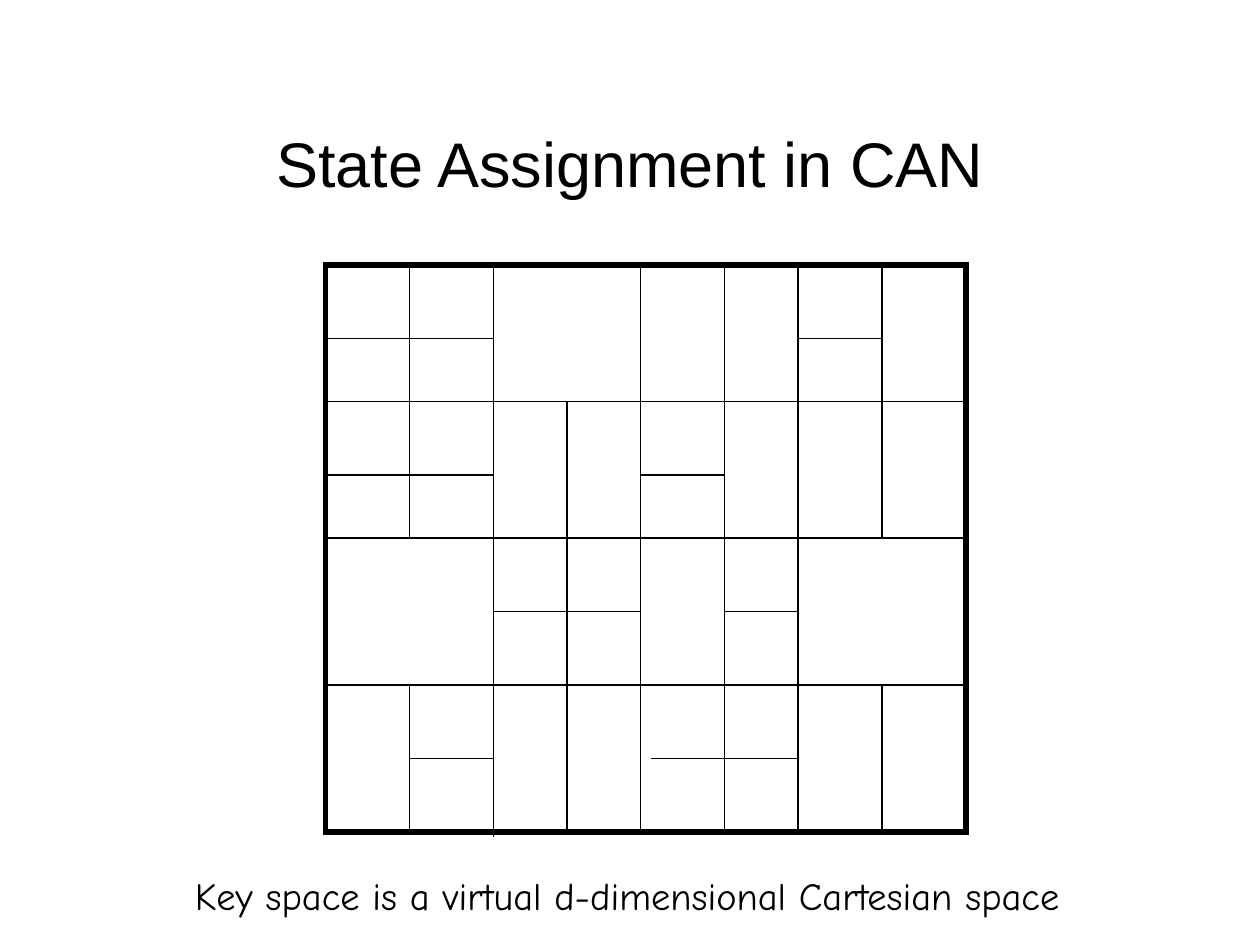
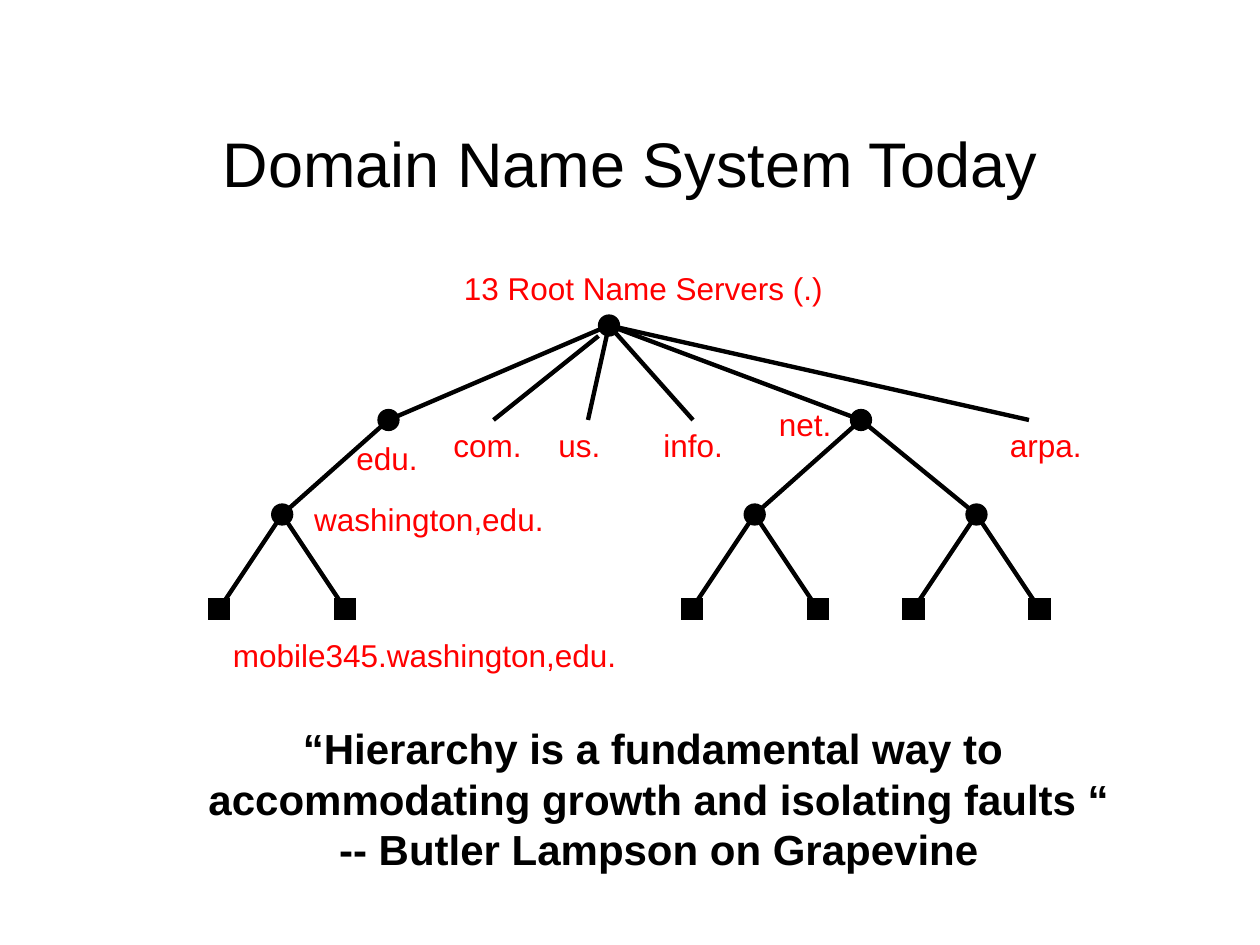
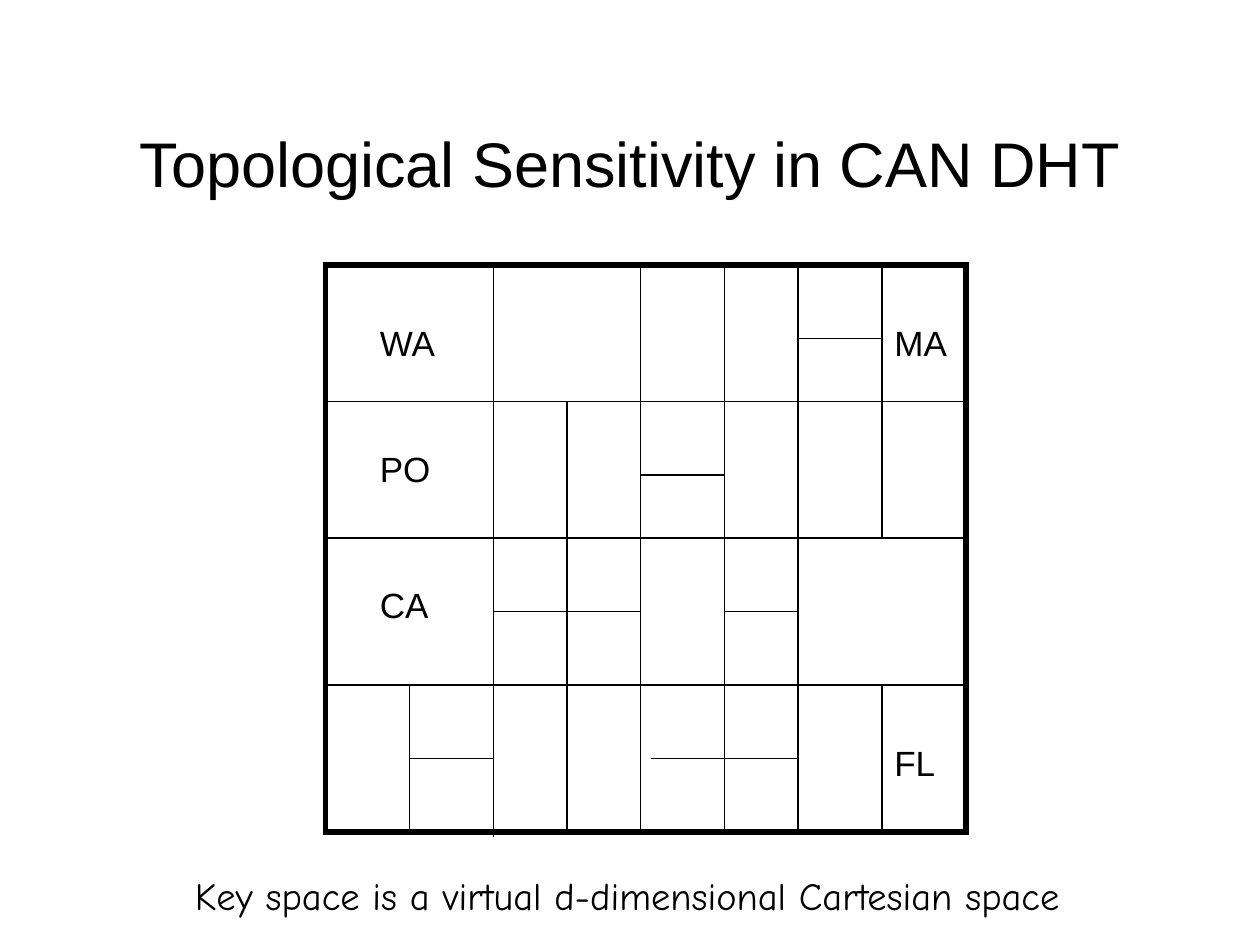
"""Build three slides on CAN key spaces and the domain name system."""
from typing import NamedTuple

from lxml.etree import SubElement
from pptx import Presentation
from pptx.dml.color import RGBColor
from pptx.enum.shapes import MSO_CONNECTOR, MSO_SHAPE
from pptx.enum.text import MSO_ANCHOR, MSO_AUTO_SIZE, PP_ALIGN
from pptx.oxml.ns import qn
from pptx.presentation import Presentation as Deck
from pptx.slide import Slide
from pptx.util import Emu, Pt

PX = 9525
BLACK, RED = "000000", "FF0000"
SANS, HAND = "Arial", "Comic Neue"
NODE = 16
LEAF_SPREAD, LEAF_Y = 48, 464
COLS = (248, 312, 376, 432, 488, 552, 608, 672, 736)
ROWS = (202, 258, 306, 362, 410, 466, 522, 578, 634)


class Segment(NamedTuple):
    """A straight line between two points in px."""
    x1: int
    y1: int
    x2: int
    y2: int


class Label(NamedTuple):
    """A short text with the box that holds it, in px."""
    text: str
    x: int
    y: int
    w: int
    h: int


class Point(NamedTuple):
    """The centre of a tree node in px."""
    x: int
    y: int


def wall(c1: int, r1: int, c2: int, r2: int) -> Segment:
    """Return the line between two crossings of the zone grid."""
    return Segment(COLS[c1], ROWS[r1], COLS[c2], ROWS[r2])


ZONE_WALLS = [
    Segment(COLS[4], 200, COLS[4], 636),
    Segment(COLS[2], 202, COLS[2], 638),
    Segment(COLS[5], ROWS[4], COLS[5], 546),
    Segment(496, ROWS[7], COLS[6], ROWS[7]),
    *(wall(0, r, 8, r) for r in (2, 4, 6)),
    wall(6, 0, 6, 8),
    *(wall(c, 0, c, 2) for c in (5, 7)),
    *(wall(c, 2, c, 4) for c in (3, 5, 7)),
    wall(3, 4, 3, 6),
    *(wall(c, 6, c, 8) for c in (1, 3, 5, 7)),
    wall(6, 1, 7, 1),
    wall(4, 3, 5, 3),
    wall(2, 5, 4, 5),
    wall(5, 5, 6, 5),
    wall(1, 7, 2, 7),
]
WEST_WALLS = [wall(1, 0, 1, 2), wall(0, 1, 2, 1), wall(1, 2, 1, 4), wall(0, 3, 2, 3)]
CAPTION = Label("Key space is a virtual d-dimensional Cartesian space", 139, 660, 680, 45)
STATES = [
    Label("CA", 280, 440, 58, 42),
    Label("PO", 280, 336, 60, 42),
    Label("WA", 280, 240, 64, 42),
    Label("FL", 672, 560, 53, 42),
    Label("MA", 672, 240, 61, 42),
]

ROOT, EDU, NET = Point(464, 248), Point(296, 320), Point(656, 320)
WASHINGTON, NET_WEST, NET_EAST = Point(215, 392), Point(575, 392), Point(744, 392)
BRANCHES = [(ROOT, EDU), (ROOT, NET), (EDU, WASHINGTON), (NET, NET_WEST), (NET, NET_EAST),
            (Point(456, 256), Point(376, 320)),
            *((ROOT, Point(x, 320)) for x in (448, 528, 784))]
DOMAINS = [
    Label("13 Root Name Servers (.)", 344, 200, 295, 38),
    Label("edu.", 262, 330, 68, 38),
    Label("com.", 336, 320, 74, 38),
    Label("us.", 416, 320, 54, 38),
    Label("info.", 496, 320, 67, 38),
    Label("net.", 584, 304, 62, 38),
    Label("arpa.", 760, 320, 77, 38),
    Label("washington,edu.", 230, 376, 197, 38),
    Label("mobile345.washington,edu.", 168, 480, 314, 38),
]
QUOTE = Label("“Hierarchy is a fundamental way to \n"
              "accommodating growth and isolating faults “\n"
              "-- Butler Lampson on Grapevine", 149, 546, 706, 125)


def px(n: int) -> Emu:
    """Convert px to EMU."""
    return Emu(n * PX)


def rgb(value: str) -> RGBColor:
    """Convert a hex string to a colour."""
    return RGBColor.from_string(value)


def add_text(s: Slide, label: Label, *, size: int, font: str = SANS, color: str = BLACK,
             bold: bool = False, align: PP_ALIGN = PP_ALIGN.LEFT, wrap: bool = False,
             anchor: MSO_ANCHOR = MSO_ANCHOR.TOP) -> None:
    """Add a text box with one paragraph for each line of the label."""
    tf = s.shapes.add_textbox(*map(px, label[1:])).text_frame
    tf.word_wrap = wrap
    tf.auto_size = MSO_AUTO_SIZE.NONE if wrap else MSO_AUTO_SIZE.SHAPE_TO_FIT_TEXT
    tf.vertical_anchor = anchor
    for i, line in enumerate(label.text.split("\n")):
        p = tf.add_paragraph() if i else tf.paragraphs[0]
        p.alignment = align
        r = p.add_run()
        r.text = line
        r.font.size, r.font.name, r.font.bold = Pt(size), font, bold
        r.font.color.rgb = rgb(color)


def add_line(s: Slide, seg: Segment, width: float) -> None:
    """Add a straight black line."""
    c = s.shapes.add_connector(MSO_CONNECTOR.STRAIGHT, *map(px, seg))
    c.line.color.rgb = rgb(BLACK)
    c.line.width = Pt(width)
    SubElement(c._element.spPr, qn("a:effectLst"))


def add_box(s: Slide, kind: MSO_SHAPE, x: int, y: int, w: int, h: int, *,
            width: float, fill: str = "") -> None:
    """Add a black-edged, sharp-cornered shape, hollow unless a fill is given."""
    sp = s.shapes.add_shape(kind, px(x), px(y), px(w), px(h))
    sp.shadow.inherit = False
    sp.line.color.rgb = rgb(BLACK)
    sp.line.width = Pt(width)
    SubElement(sp._element.spPr.find(qn("a:ln")), qn("a:miter"), lim="800000")
    if fill:
        sp.fill.solid()
        sp.fill.fore_color.rgb = rgb(fill)
    else:
        sp.fill.background()


def add_node(s: Slide, kind: MSO_SHAPE, at: Point) -> None:
    """Add a small black tree node centred on a point."""
    half = NODE // 2
    add_box(s, kind, at.x - half, at.y - half, NODE, NODE, width=0.75, fill=BLACK)


def add_titled_slide(prs: Deck, title: str) -> Slide:
    """Add a blank slide with the shared title style."""
    s = prs.slides.add_slide(prs.slide_layouts[6])
    add_text(s, Label(title, 72, 64, 816, 120), size=36, align=PP_ALIGN.CENTER,
             wrap=True, anchor=MSO_ANCHOR.MIDDLE)
    return s


def add_key_space(s: Slide, walls: list[Segment]) -> None:
    """Draw the framed key space, its zone walls and its caption."""
    left, top = COLS[0], ROWS[0]
    add_box(s, MSO_SHAPE.RECTANGLE, left, top, COLS[-1] - left, ROWS[-1] - top, width=3)
    for seg in walls:
        add_line(s, seg, 0.75)
    add_text(s, CAPTION, size=22, font=HAND)


def add_domain_tree(s: Slide) -> None:
    """Draw the name hierarchy with its hosts and labels."""
    parents = (WASHINGTON, NET_WEST, NET_EAST)
    hosts = [(p, Point(p.x + dx, LEAF_Y)) for p in parents for dx in (-LEAF_SPREAD, LEAF_SPREAD)]
    for start, end in BRANCHES + hosts:
        add_line(s, Segment(*start, *end), 2.5)
    for at in (ROOT, EDU, NET, *parents):
        add_node(s, MSO_SHAPE.OVAL, at)
    for _, at in hosts:
        add_node(s, MSO_SHAPE.RECTANGLE, at)
    for label in DOMAINS:
        add_text(s, label, size=18, color=RED)


def main() -> None:
    """Build the deck and save it."""
    prs = Presentation()
    prs.slide_width, prs.slide_height = px(960), px(720)

    s = add_titled_slide(prs, "State Assignment in CAN")
    add_key_space(s, ZONE_WALLS + WEST_WALLS)

    s = add_titled_slide(prs, "Domain Name System Today")
    add_domain_tree(s)
    add_text(s, QUOTE, size=24, bold=True, align=PP_ALIGN.CENTER)

    s = add_titled_slide(prs, "Topological Sensitivity in CAN DHT")
    add_key_space(s, ZONE_WALLS)
    for label in STATES:
        add_text(s, label, size=20)

    prs.save("out.pptx")


if __name__ == "__main__":
    main()
